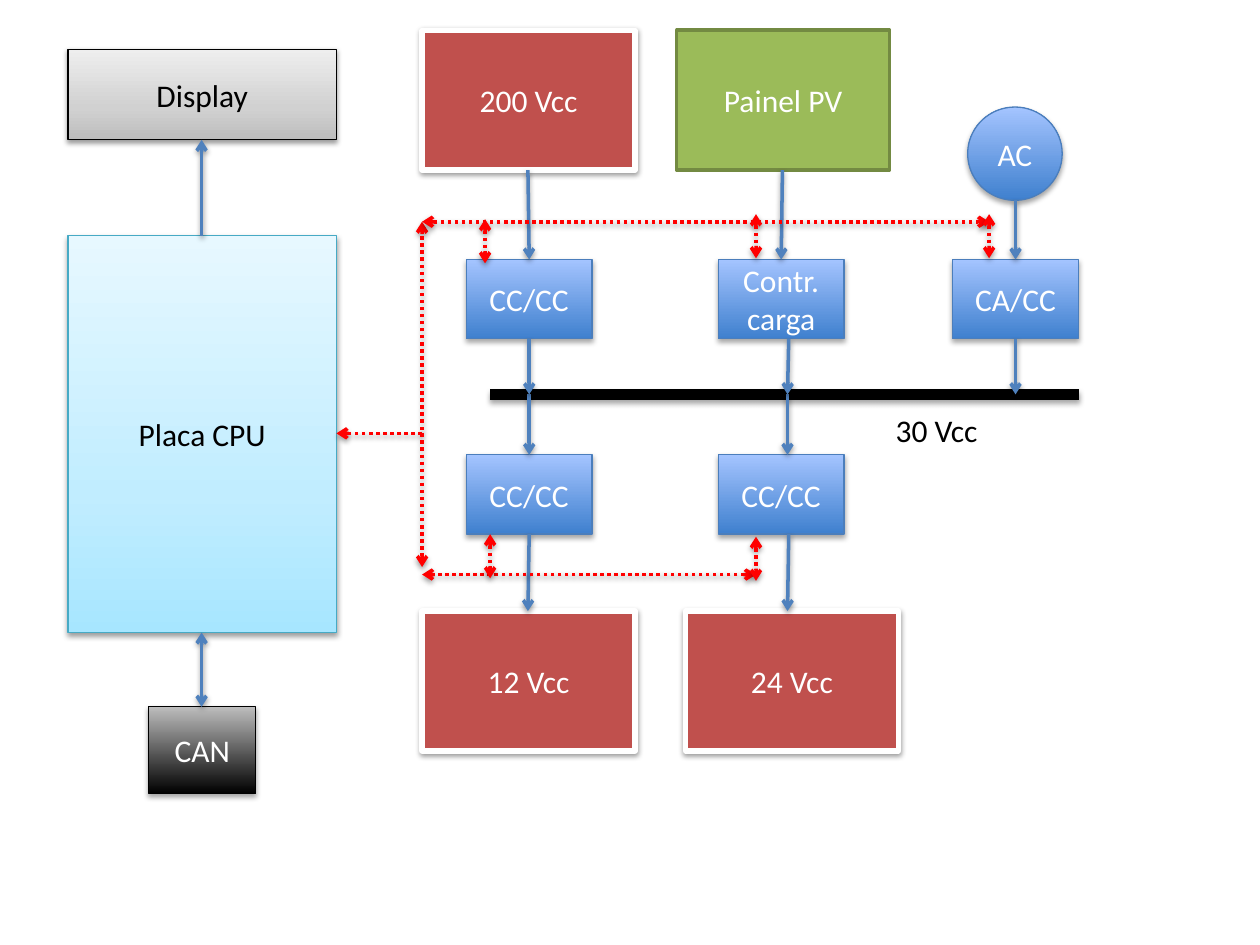
import copy
from dataclasses import dataclass

from lxml import etree
from pptx import Presentation
from pptx import util as u
from pptx.dml.color import RGBColor
from pptx.enum import dml, shapes, text
from pptx.oxml.ns import qn


@dataclass(frozen=True)
class Theme:
    """Colours, type and effects of the slide."""
    font: str = "Calibri"
    size: int = 18
    black: str = "000000"
    white: str = "FFFFFF"
    flow: str = "4F81BD"
    signal: str = "FF0000"
    strong: tuple = (35, 1.8)
    soft: tuple = (38, 1.6)


T = Theme()
BLUE = dict(fill=[(0, "3F80CE"), (1, "A4C4FF")], line="4B7EBC", shadow=T.strong)
RED = dict(fill="C0504D", line=T.white, width=3, shadow=T.soft)
GREEN = dict(fill="9BBB59", line="738A42", width=2)
CYAN = dict(fill=[(0, "A7E6FF"), (0.35, "C1EDFF"), (1, "E7F8FF")],
            line="46AAC5", shadow=T.soft, color=T.black)
GREY = dict(fill=[(0, "BDBDBD"), (0.35, "D1D1D1"), (1, "EEEEEE")],
            line=T.black, shadow=T.soft, color=T.black)
DARK = dict(fill=[(0, T.black), (1, "BDBDBD")], line=T.black, shadow=T.strong)


def add_shadow(spPr, shadow):
    """Give a shape or connector a downward shadow of (opacity, distance)."""
    effects = spPr.find(qn("a:effectLst"))
    if effects is None:
        effects = etree.SubElement(spPr, qn("a:effectLst"))
    if shadow:
        alpha, dist = shadow
        outer = etree.SubElement(effects, qn("a:outerShdw"), blurRad=str(u.Pt(3.1)),
                                 dist=str(u.Pt(dist)), dir="5400000", rotWithShape="0")
        clr = etree.SubElement(outer, qn("a:srgbClr"), val=T.black)
        etree.SubElement(clr, qn("a:alpha"), val=str(alpha * 1000))


def paint(sp, fill):
    """Fill a shape with a colour or with upward gradient stops."""
    if isinstance(fill, str):
        sp.fill.solid()
        sp.fill.fore_color.rgb = RGBColor.from_string(fill)
        return
    sp.fill.gradient()
    sp.fill.gradient_angle = 90
    first = sp._element.spPr.find(".//" + qn("a:gs"))
    for _ in fill[2:]:
        first.addnext(copy.deepcopy(first))
    for stop, (position, color) in zip(sp.fill.gradient_stops, fill):
        stop.position = position
        stop.color.rgb = RGBColor.from_string(color)


def write(tf, words, color=T.white, align=None):
    """Write each line of the words as a paragraph."""
    for i, line in enumerate(words.split("\n")):
        p = tf.paragraphs[0] if i == 0 else tf.add_paragraph()
        p.alignment = align
        r = p.add_run()
        r.text = line
        r.font.name, r.font.size = T.font, u.Pt(T.size)
        r.font.color.rgb = RGBColor.from_string(color)


def add_block(s, words, x, y, w, h, fill, line, width=0.75, shadow=None,
              color=T.white, kind=shapes.MSO_SHAPE.RECTANGLE):
    """Add a labelled block."""
    sp = s.shapes.add_shape(kind, *map(u.Inches, (x, y, w, h)))
    paint(sp, fill)
    sp.line.color.rgb = RGBColor.from_string(line)
    sp.line.width = u.Pt(width)
    sp.shadow.inherit = False
    add_shadow(sp._element.spPr, shadow)
    tf = sp.text_frame
    tf.word_wrap = True
    tf.vertical_anchor = text.MSO_ANCHOR.MIDDLE
    write(tf, words, color, text.PP_ALIGN.CENTER)


def add_line(s, x1, y1, x2, y2, color=T.flow, width=2, ends=("tail",),
             dotted=False, shadow=T.soft, bent=False):
    """Add a straight or one-bend connector with open arrowheads."""
    kind = shapes.MSO_CONNECTOR.ELBOW if bent else shapes.MSO_CONNECTOR.STRAIGHT
    cx = s.shapes.add_connector(kind, *map(u.Inches, (x1, y1, x2, y2)))
    spPr = cx._element.spPr
    if bent:
        spPr.find(qn("a:prstGeom")).set("prst", "bentConnector2")
    cx.line.color.rgb = RGBColor.from_string(color)
    cx.line.width = u.Pt(width)
    if dotted:
        cx.line.dash_style = dml.MSO_LINE.ROUND_DOT
    for end in ends:
        etree.SubElement(spPr.find(qn("a:ln")), qn(f"a:{end}End"), type="arrow")
    add_shadow(spPr, shadow)


def add_control(s, x, y):
    """Place the control column and its links from its top left corner."""
    mid = x + 1.06
    add_block(s, "Placa CPU", x, y + 1.48, 2.13, 3.15, **CYAN)
    add_block(s, "Display", x, y, 2.13, 0.72, **GREY)
    add_block(s, "CAN", x + 0.64, y + 5.22, 0.85, 0.69, **DARK)
    add_line(s, mid, y + 1.48, mid, y + 0.72)
    add_line(s, mid, y + 5.22, mid, y + 4.63, ends=("head", "tail"))


def add_power(s, x, y):
    """Place sources, converters, bus and loads from the top left corner."""
    add_line(s, x + 0.54, y + 2.89, x + 5.21, y + 2.89, T.black, 6, (), shadow=T.strong)
    for words, dx, dy in (("CC/CC", 0.35, 1.82), ("CC/CC", 0.35, 3.37),
                          ("CC/CC", 2.35, 3.37), ("Contr.\ncarga", 2.35, 1.82),
                          ("CA/CC", 4.21, 1.82)):
        add_block(s, words, x + dx, y + dy, 1, 0.63, **BLUE)
    for words, dx, dy, style in (("12 Vcc", 0, 4.61, RED), ("24 Vcc", 2.09, 4.61, RED),
                                 ("200 Vcc", 0, 0, RED), ("Painel PV", 2.02, 0, GREEN)):
        add_block(s, words, x + dx, y + dy, 1.69, 1.11, **style)
    add_block(s, "AC", x + 4.33, y + 0.61, 0.75, 0.74,
              kind=shapes.MSO_SHAPE.OVAL, **BLUE)
    for x1, y1, x2, y2 in ((0.85, 4, 0.84, 4.61), (2.91, 4, 2.9, 4.61),
                           (0.85, 2.89, 0.85, 3.37), (2.9, 2.89, 2.9, 3.37),
                           (2.91, 2.45, 2.9, 2.89), (0.85, 2.45, 0.85, 2.89),
                           (0.84, 1.11, 0.85, 1.82), (2.86, 1.11, 2.85, 1.82),
                           (4.71, 1.35, 4.71, 1.82), (4.71, 2.45, 4.71, 2.89)):
        add_line(s, x + x1, y + y1, x + x2, y + y2)
    tb = s.shapes.add_textbox(*map(u.Inches, (x + 3.66, y + 2.97, 0.93, 0.4)))
    tb.text_frame.word_wrap = True
    tb.text_frame.auto_size = text.MSO_AUTO_SIZE.SHAPE_TO_FIT_TEXT
    write(tb.text_frame, "30 Vcc", T.black)


def add_signals(s, x, y):
    """Place the dotted signal wiring from its top left corner."""
    dots = dict(color=T.signal, dotted=True)
    both = dict(dots, ends=("head", "tail"))
    trunk = x + 0.68
    add_line(s, x, y + 1.74, trunk, y + 0.06, bent=True, **both)
    add_line(s, trunk, y + 0.06, x + 5.18, y + 0.06, **both)
    add_line(s, x + 3.33, y + 2.86, trunk, y + 2.86, **both)
    add_line(s, trunk, y + 1.74, trunk, y + 2.8, **dots)
    for dx, dy in ((3.33, 2.56), (1.22, 2.54), (1.18, 0.04), (3.33, 0), (5.18, 0)):
        add_line(s, x + dx, y + dy, x + dx, y + dy + 0.35, **both)


def main():
    """Build and save the slide."""
    prs = Presentation()
    prs.slide_width, prs.slide_height = u.Inches(10), u.Inches(7.5)
    s = prs.slides.add_slide(prs.slide_layouts[6])
    add_control(s, 0.54, 0.39)
    add_power(s, 3.35, 0.24)
    add_signals(s, 2.67, 1.7)
    prs.save("out.pptx")


main()
